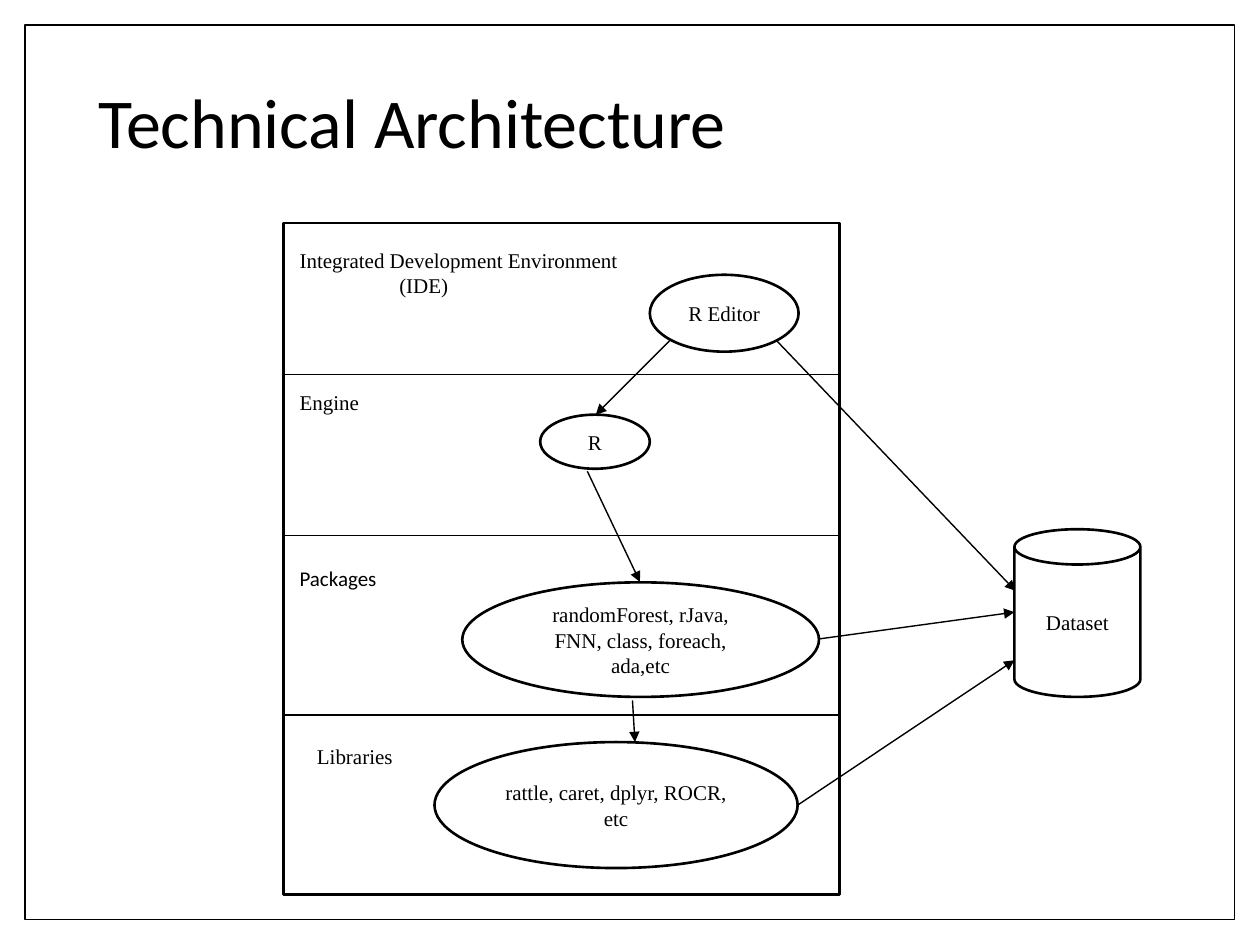
from lxml.etree import SubElement
from pptx import Presentation
from pptx.dml.color import RGBColor
from pptx.enum.shapes import MSO_CONNECTOR as Link, MSO_SHAPE as Kind
from pptx.enum.text import MSO_ANCHOR as Anchor, PP_ALIGN as Align
from pptx.oxml.ns import qn
from pptx.util import Cm, Pt

BLACK = RGBColor(0, 0, 0)
WHITE = RGBColor(255, 255, 255)
SERIF = "Times New Roman"
SANS = "Calibri"


def write(shape, text, size=12, font=SERIF, align=Align.LEFT,
          anchor=Anchor.TOP, space=1, indent=0):
    """Fill the shape with one paragraph per line; indent those after the first."""
    frame = shape.text_frame
    frame.word_wrap = True
    frame.vertical_anchor = anchor
    for i, line in enumerate(text.split("\n")):
        par = frame.add_paragraph() if i else frame.paragraphs[0]
        par.alignment = align
        par.line_spacing = space
        if i and indent:
            par._p.get_or_add_pPr().set("marL", str(Cm(indent)))
        run = par.add_run()
        run.text = line
        run.font.size = Pt(size)
        run.font.name = font
        run.font.color.rgb = BLACK


def label(slide, box, text, **style):
    write(slide.shapes.add_textbox(*map(Cm, box)), text, **style)


def node(slide, kind, box, text="", width=1.5):
    """Add a white shape with a black outline and centred text."""
    shape = slide.shapes.add_shape(kind, *map(Cm, box))
    shape.shadow.inherit = False
    shape.fill.solid()
    shape.fill.fore_color.rgb = WHITE
    shape.line.color.rgb = BLACK
    shape.line.width = Pt(width)
    if text:
        write(shape, text, align=Align.CENTER, anchor=Anchor.MIDDLE)
    return shape


def link(slide, start, end, head=False):
    line = slide.shapes.add_connector(Link.STRAIGHT, *map(Cm, (*start, *end)))
    line.line.color.rgb = BLACK
    line.line.width = Pt(0.79)
    if head:
        SubElement(line.line._get_or_add_ln(), qn("a:tailEnd"), type="triangle")
    SubElement(line._element.spPr, qn("a:effectLst"))


def shift(box, x, y):
    """Turn a point inside the box into a point on the slide."""
    return box[0] + x, box[1] + y


def layers(slide, box):
    """Draw the four layers, their labels and ovals, and the arrows between."""
    node(slide, Kind.RECTANGLE, box)
    for y in (3.05, 6.3, 9.91):
        link(slide, shift(box, 0, y), shift(box, box[2], y))
    rows = (
        ("Integrated Development Environment\n(IDE)", SERIF, (0.08, 0.36, 9.96, 1.27),
         "R Editor", (7.39, 1.04, 3, 1.55)),
        ("Engine", SERIF, (0.08, 3.23, 3.38, 0.76),
         "R", (5.18, 3.86, 2.21, 1.09)),
        ("Packages", SANS, (0.08, 6.78, 3.81, 0.76),
         "randomForest, rJava, FNN, class, foreach, ada,etc", (3.61, 7.24, 7.19, 2.31)),
        ("Libraries", SERIF, (0.43, 10.36, 3.48, 0.76),
         "rattle, caret, dplyr, ROCR, etc", (3.05, 10.46, 7.32, 2.54)),
    )
    for name, font, (x, y, *size), tools, (left, top, *oval) in rows:
        label(slide, (*shift(box, x, y), *size), name, font=font, indent=2.01)
        node(slide, Kind.OVAL, (*shift(box, left, top), *oval), tools)
    for start, end in (((7.8, 2.36), (6.3, 3.86)),
                       ((6.13, 5), (7.19, 7.23)),
                       ((7.04, 9.62), (7.09, 10.46))):
        link(slide, shift(box, *start), shift(box, *end), head=True)


def store(slide, box, stack):
    """Draw the dataset and the arrows that reach it from the layers."""
    for start, end in (((10.8, 8.38), (0, 1.67)),
                       ((9.94, 2.36), (0.02, 1.24)),
                       ((10.37, 11.73), (0, 2.64))):
        link(slide, shift(stack, *start), shift(box, *end), head=True)
    can = node(slide, Kind.CAN, box, "Dataset")
    can.adjustments[0] = 0.28


def main():
    deck = Presentation()
    deck.slide_width, deck.slide_height = Cm(25.4), Cm(19.05)
    slide = deck.slides.add_slide(deck.slide_layouts[6])
    node(slide, Kind.RECTANGLE, (0.51, 0.51, 24.38, 18.03), width=1)
    label(slide, (1.73, 0.66, 20.57, 3.76), "Technical Architecture",
          size=40, font=SANS, anchor=Anchor.MIDDLE, space=0.9)
    stack = (5.71, 4.5, 11.22, 13.54)
    layers(slide, stack)
    store(slide, (20.45, 10.67, 2.54, 3.38), stack)
    deck.save("out.pptx")


if __name__ == "__main__":
    main()
